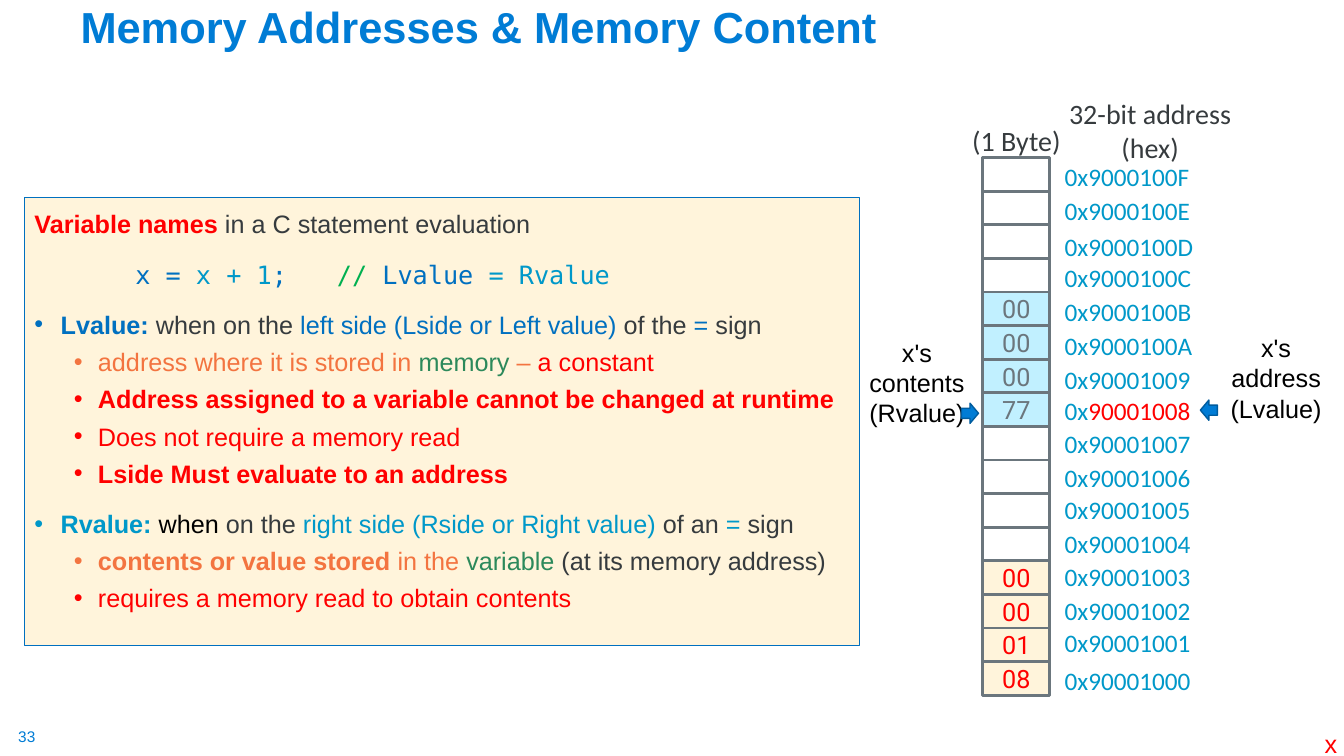
from dataclasses import dataclass
from typing import Any

from lxml.etree import SubElement
from pptx import Presentation
from pptx.dml.color import RGBColor
from pptx.enum.shapes import MSO_SHAPE
from pptx.enum.text import MSO_ANCHOR, MSO_AUTO_SIZE, PP_ALIGN
from pptx.oxml.ns import qn
from pptx.util import Cm, Pt

BLUE = RGBColor(0x00, 0x7C, 0xD5)
NAVY = RGBColor(0x00, 0x5C, 0x9E)
LEFT = RGBColor(0x00, 0x70, 0xC0)
RIGHT = RGBColor(0x00, 0x98, 0xC9)
RED = RGBColor(0xFF, 0x00, 0x00)
GREEN = RGBColor(0x00, 0xB0, 0x50)
MOSS = RGBColor(0x2C, 0x89, 0x5B)
CORAL = RGBColor(0xF3, 0x74, 0x40)
INK = RGBColor(0x36, 0x3B, 0x3E)
GREY = RGBColor(0x6B, 0x76, 0x7D)
BLACK = RGBColor(0x00, 0x00, 0x00)
WHITE = RGBColor(0xFF, 0xFF, 0xFF)
CREAM = RGBColor(0xFF, 0xF4, 0xDB)
AQUA = RGBColor(0xC1, 0xF0, 0xFF)
MONO = "DejaVu Sans Mono"


@dataclass(frozen=True)
class Run:
    text: str
    color: RGBColor
    bold: bool = False
    font: str = "Arial"
    size: float = 18


@dataclass(frozen=True)
class Para:
    runs: tuple[Run, ...]
    level: int = 0
    bullet: bool = False
    line: float | None = None
    before: float = 0
    align: PP_ALIGN = PP_ALIGN.LEFT
    tabs: tuple[float, ...] = ()


@dataclass(frozen=True)
class Area:
    left: float
    top: float
    width: float
    height: float

    def lengths(self) -> tuple[Cm, ...]:
        return Cm(self.left), Cm(self.top), Cm(self.width), Cm(self.height)


@dataclass(frozen=True)
class Byte:
    top: float
    digit: str
    value: str = ""
    fill: RGBColor = WHITE
    color: RGBColor = GREY


def head(*runs: Run) -> Para:
    return Para(runs, bullet=True, line=1.2, before=10)


def point(*runs: Run) -> Para:
    return Para(runs, level=1, bullet=True, before=5)


def center(*runs: Run) -> Para:
    return Para(runs, align=PP_ALIGN.CENTER)


NOTES = (
    Para((Run("Variable names ", RED, True),
          Run("in a C statement evaluation", INK)), line=1.2),
    Para((Run("\tx = ", LEFT, font=MONO), Run("x + 1", RIGHT, font=MONO),
          Run("; \t", LEFT, font=MONO), Run("// ", GREEN, font=MONO),
          Run("Lvalue ", LEFT, font=MONO), Run("= Rvalue", RIGHT, font=MONO)),
         line=1.2, before=10, tabs=(2.54, 7.62)),
    head(Run("Lvalue: ", LEFT, True), Run("when on the ", INK),
         Run("left side (Lside or Left value) ", LEFT),
         Run("of the ", INK), Run("= ", LEFT), Run("sign", INK)),
    point(Run("address where it is stored in ", CORAL), Run("memory", MOSS),
          Run(" – ", CORAL), Run("a constant", RED)),
    point(Run("Address assigned to a variable cannot be changed at runtime", RED, True)),
    point(Run("Does not require a memory read", RED)),
    point(Run("Lside Must evaluate to an address", RED, True)),
    head(Run("Rvalue: ", RIGHT, True), Run("when ", BLACK), Run("on the ", INK),
         Run("right side (Rside or Right value) ", RIGHT),
         Run("of an ", INK), Run("=", RIGHT), Run(" sign", INK)),
    point(Run("contents or value stored ", CORAL, True), Run("in the ", CORAL),
          Run("variable ", MOSS), Run("(at its memory address)", INK)),
    point(Run("requires a memory read to obtain contents", RED)),
)

BYTES = (
    Byte(3.94, "F"), Byte(4.8, "E"), Byte(5.7, "D"), Byte(6.48, "C"),
    Byte(7.34, "B", "00", AQUA), Byte(8.2, "A", "00", AQUA),
    Byte(9.05, "9", "00", AQUA), Byte(9.83, "8", "77", AQUA),
    Byte(10.67, "7"), Byte(11.53, "6"), Byte(12.34, "5"), Byte(13.2, "4"),
    Byte(14.02, "3", "00", CREAM, RED), Byte(14.88, "2", "00", CREAM, RED),
    Byte(15.68, "1", "01", CREAM, RED), Byte(16.65, "0", "08", CREAM, RED),
)
PITCH = 12.7 / 15


def assign(target: Any, values: dict[str, Any]) -> None:
    for name, value in values.items():
        setattr(target, name, value)


def write(shape: Any, paras: tuple[Para, ...], **frame: Any) -> None:
    body = shape.text_frame
    assign(body, {"word_wrap": True} | frame)
    for index, item in enumerate(paras):
        para = body.add_paragraph() if index else body.paragraphs[0]
        assign(para, {"level": item.level, "alignment": item.align,
                      "line_spacing": item.line, "space_before": Pt(item.before)})
        props = para._p.get_or_add_pPr()
        if item.bullet:
            margin, hang = ((0.66, 0.66), (1.6, 0.61))[item.level]
            props.set("marL", str(Cm(margin)))
            props.set("indent", str(-Cm(hang)))
            SubElement(props, qn("a:buFont")).set("typeface", "Arial")
            SubElement(props, qn("a:buChar")).set("char", "•")
        if item.tabs:
            stops = SubElement(props, qn("a:tabLst"))
            for stop in item.tabs:
                SubElement(stops, qn("a:tab"), pos=str(Cm(stop)), algn="l")
        for part in item.runs:
            run = para.add_run()
            run.text = part.text
            assign(run.font, {"name": part.font, "size": Pt(part.size), "bold": part.bold})
            run.font.color.rgb = part.color


def label(host: Any, area: Area, *paras: Para, **frame: Any) -> None:
    write(host.add_textbox(*area.lengths()), paras, **frame)


def block(host: Any, kind: MSO_SHAPE, area: Area, fill: RGBColor,
          line: RGBColor, width: float) -> Any:
    shape = host.add_shape(kind, *area.lengths())
    shape.shadow.inherit = False
    shape.fill.solid()
    shape.fill.fore_color.rgb = fill
    shape.line.color.rgb = line
    shape.line.width = Pt(width)
    return shape


def memory(host: Any) -> None:
    tight = {"word_wrap": False, "auto_size": MSO_AUTO_SIZE.SHAPE_TO_FIT_TEXT}
    for row, byte in enumerate(BYTES):
        area = Area(24.77, 3.97 + row * PITCH, 1.69, PITCH)
        cell = block(host, MSO_SHAPE.RECTANGLE, area, byte.fill, GREY, 2)
        if byte.value:
            write(cell, (center(Run(byte.value, byte.color, font="Roboto")),),
                  word_wrap=False, vertical_anchor=MSO_ANCHOR.MIDDLE)
        tint = RED if byte.digit == "8" else RIGHT
        label(host, Area(26.58, byte.top, 3.85, 1.02),
              Para((Run("0x", RIGHT, font="Calibri"),
                    Run(f"9000100{byte.digit}", tint, font="Calibri"))), **tight)
    label(host, Area(24.23, 2.98, 2.77, 1.12),
          center(Run("(1 Byte)", INK, font="Calibri", size=20)), **tight)
    label(host, Area(26.57, 2.31, 4.83, 1.96),
          *(center(Run(text, INK, font="Calibri", size=20))
            for text in ("32-bit address", "(hex)")), **tight)


def main() -> None:
    deck = Presentation()
    assign(deck, {"slide_width": Cm(33.87), "slide_height": Cm(19.05)})
    shapes = deck.slides.add_slide(deck.slide_layouts[6]).shapes
    label(shapes, Area(0.46, 18.32, 0.48, 0.48), Para((Run("33", BLUE, size=11),)),
          word_wrap=False, margin_left=0, margin_top=0, margin_right=0, margin_bottom=0)
    label(shapes, Area(1.78, 0.15, 29.21, 1.32),
          Para((Run("Memory Addresses & Memory Content", BLUE, True, size=31),), line=0.9),
          vertical_anchor=MSO_ANCHOR.BOTTOM)
    panel = block(shapes, MSO_SHAPE.RECTANGLE, Area(0.62, 4.98, 21.03, 11.28),
                  CREAM, LEFT, 0.75)
    write(panel, NOTES, vertical_anchor=MSO_ANCHOR.TOP)
    label(shapes, Area(33.13, 18.24, 0.84, 1.02), Para((Run("x", RED),)), word_wrap=False)
    memory(shapes.add_group_shape().shapes)
    for left, top, text, tip, rise, turn in (
            (21.46, 8.37, "contents (Rvalue)", 24.23, 10.16, 0),
            (30.51, 8.25, "address (Lvalue)", 30.25, 10.08, 180)):
        label(shapes, Area(left, top, 3.3, 2.57),
              center(Run("x's", BLACK)), center(Run(text, BLACK)))
        arrow = block(shapes, MSO_SHAPE.RIGHT_ARROW, Area(tip, rise, 0.43, 0.51),
                      BLUE, NAVY, 1)
        arrow.rotation = turn
    deck.save("out.pptx")


if __name__ == "__main__":
    main()
